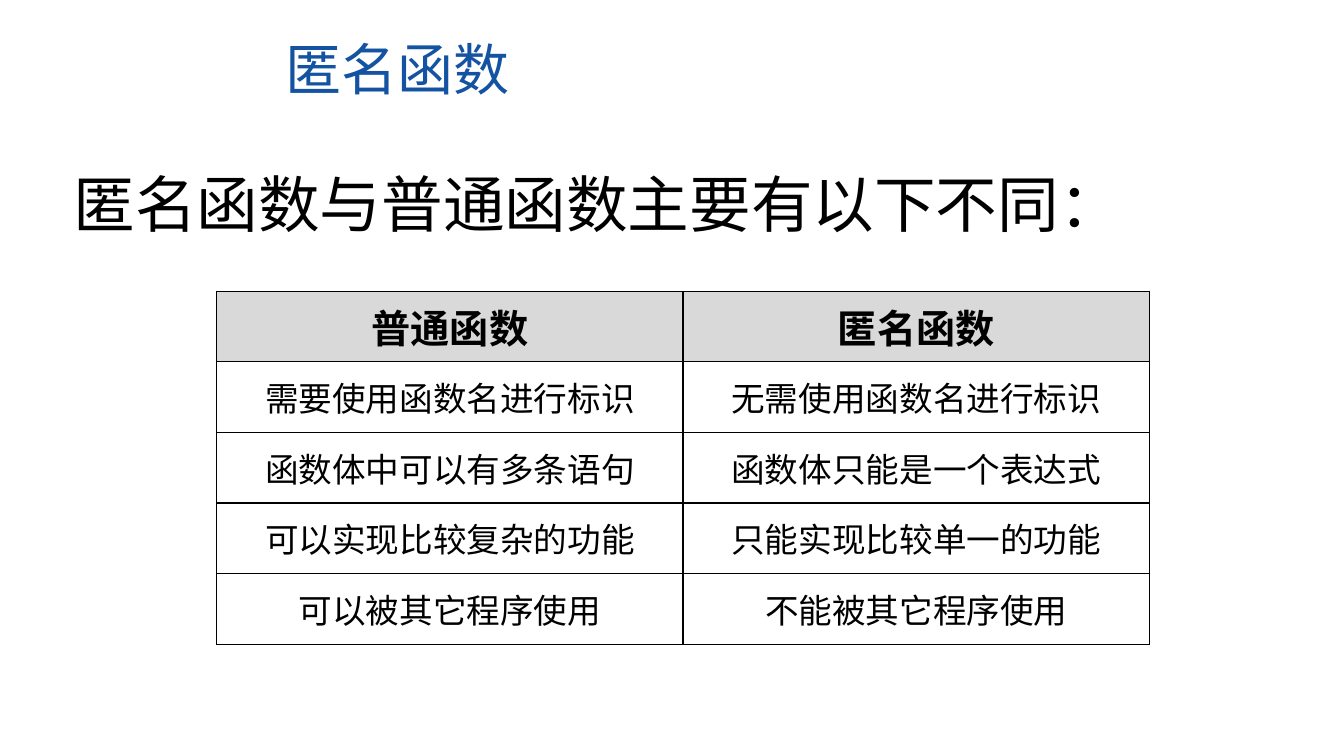
from dataclasses import dataclass

import pptx
import pptx.dml.color
import pptx.enum.text
import pptx.oxml
import pptx.oxml.ns
import pptx.util
from pptx.util import Inches

FONT = "Noto Sans CJK SC"
COLORS = {"title": "1353A2", "text": "000000", "header": "D9D9D9", "border": "000000"}
MIDDLE = pptx.enum.text.MSO_ANCHOR.MIDDLE


@dataclass
class Heading:
    text: str
    left: float
    top: float
    width: float
    height: float
    size: int
    color: str
    spacing: float = 1.0


HEADINGS = [
    Heading("匿名函数", 2.73, 0.29, 5.88, 0.77, 40, "title"),
    Heading("匿名函数与普通函数主要有以下不同：", 0.63, 1.44, 12.29, 0.99, 44, "text", 1.2),
]
COMPARISON = [
    ("普通函数", "匿名函数"),
    ("需要使用函数名进行标识", "无需使用函数名进行标识"),
    ("函数体中可以有多条语句", "函数体只能是一个表达式"),
    ("可以实现比较复杂的功能", "只能实现比较单一的功能"),
    ("可以被其它程序使用", "不能被其它程序使用"),
]


def rgb(name: str) -> pptx.dml.color.RGBColor:
    return pptx.dml.color.RGBColor.from_string(COLORS[name])


def add_run(p, text: str, size: int, color: str, bold: bool = False) -> None:
    r = p.add_run()
    r.text = text
    r.font.size = pptx.util.Pt(size)
    r.font.bold = bold
    r.font.name = FONT
    r.font.color.rgb = rgb(color)
    ea = pptx.oxml.parse_xml(f'<a:ea {pptx.oxml.ns.nsdecls("a")} typeface="{FONT}"/>')
    r.font._element.find(pptx.oxml.ns.qn("a:latin")).addnext(ea)


def add_heading(s, h: Heading) -> None:
    sp = s.shapes.add_textbox(Inches(h.left), Inches(h.top), Inches(h.width), Inches(h.height))
    tf = sp.text_frame
    tf.word_wrap = True
    tf.vertical_anchor = MIDDLE
    tf.margin_top = tf.margin_bottom = 0
    p = tf.paragraphs[0]
    p.line_spacing = h.spacing
    add_run(p, h.text, h.size, h.color)


def add_borders(cell) -> None:
    tcPr = cell._tc.get_or_add_tcPr()
    for i, side in enumerate(("lnL", "lnR", "lnT", "lnB")):
        tcPr.insert(i, pptx.oxml.parse_xml(
            f'<a:{side} {pptx.oxml.ns.nsdecls("a")} w="{pptx.util.Pt(1)}"><a:solidFill>'
            f'<a:srgbClr val="{COLORS["border"]}"/></a:solidFill></a:{side}>'))


def fill_cell(cell, text: str, header: bool) -> None:
    cell.vertical_anchor = MIDDLE
    if header:
        cell.fill.solid()
        cell.fill.fore_color.rgb = rgb("header")
    else:
        cell.fill.background()
    add_borders(cell)
    p = cell.text_frame.paragraphs[0]
    p.alignment = pptx.enum.text.PP_ALIGN.CENTER
    add_run(p, text, 28 if header else 24, "text", header)


def add_comparison(s, rows: list[tuple[str, str]]) -> None:
    table = s.shapes.add_table(len(rows), len(rows[0]), Inches(2.15), Inches(2.89),
                               Inches(9.25), Inches(0.7 * len(rows))).table
    for i, row in enumerate(rows):
        for j, text in enumerate(row):
            fill_cell(table.cell(i, j), text, i == 0)


prs = pptx.Presentation()
prs.slide_width, prs.slide_height = Inches(13.33), Inches(7.5)
s = prs.slides.add_slide(prs.slide_layouts[6])
for heading in HEADINGS:
    add_heading(s, heading)
add_comparison(s, COMPARISON)
prs.save("out.pptx")
